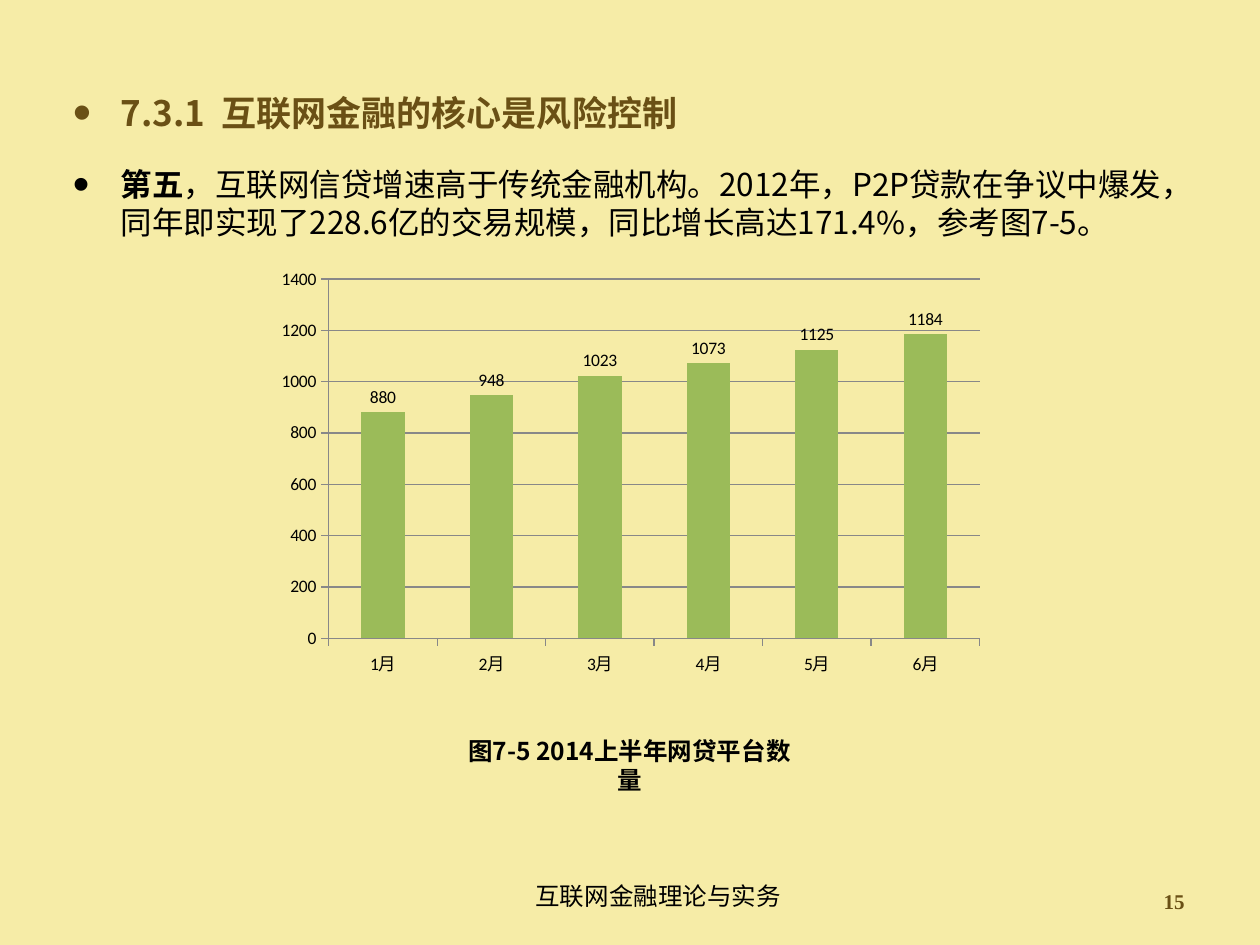
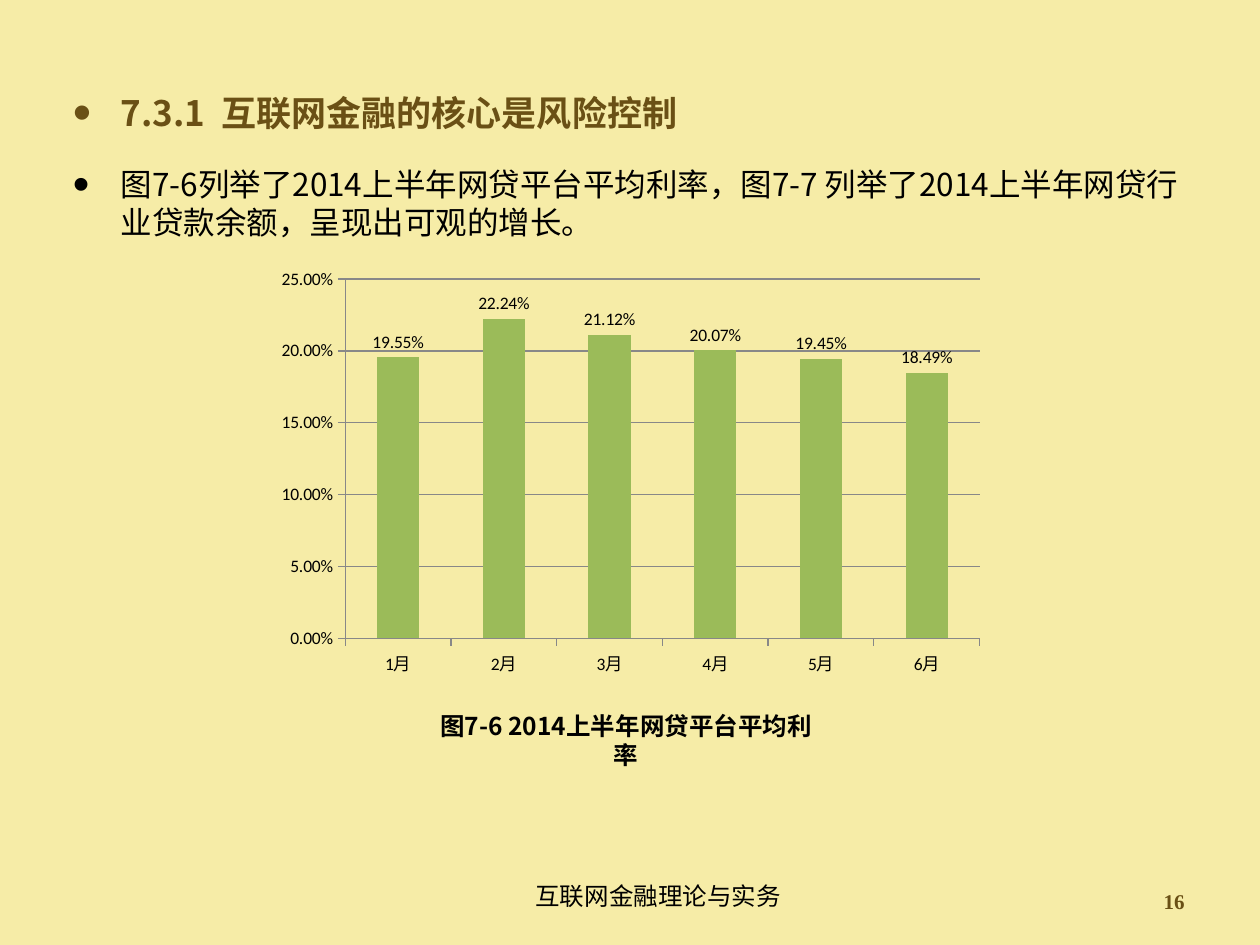
from lxml.etree import SubElement
from pptx import Presentation
from pptx.chart.data import CategoryChartData
from pptx.dml.color import RGBColor
from pptx.enum.chart import XL_CHART_TYPE, XL_LABEL_POSITION, XL_TICK_MARK
from pptx.enum.text import MSO_ANCHOR, PP_ALIGN
from pptx.oxml.ns import qn
from pptx.util import Inches, Pt

CREAM = RGBColor(0xF6, 0xEC, 0xA7)
BROWN = RGBColor(0x6A, 0x50, 0x15)
BLACK = RGBColor(0x00, 0x00, 0x00)
GREEN = RGBColor(0x9B, 0xBB, 0x59)
GREY = RGBColor(0x88, 0x88, 0x88)

CJK = "Noto Sans CJK SC"
HEADING = "7.3.1  互联网金融的核心是风险控制"
FOOTER = "互联网金融理论与实务"
MONTHS = [f"{month}月" for month in range(1, 7)]

HEADING_STYLE = {"size": Pt(20), "bold": True}
BODY_STYLE = {"size": Pt(18), "bold": False}
STRONG_STYLE = {"size": Pt(18), "bold": True}
FOOTER_STYLE = {"size": Pt(14), "bold": False}
CAPTION_STYLE = {"size": Pt(14), "bold": True}
NUMBER_STYLE = {"size": Pt(12), "bold": True}
CHART_STYLE = {"size": Pt(10), "bold": False, "name": "Calibri"}

CHART_BOX = (2.12, 2.07, 5.77, 3.36)
FOOTER_BOX = (3.06, 6.94, 4.33, 0.34)
NUMBER_BOX = (7.17, 6.95, 2.33, 0.4)

SLIDES = [
    {
        "number": 15,
        "body": [("第五", STRONG_STYLE),
                 ("，互联网信贷增速高于传统金融机构。2012年，P2P贷款在争议中爆发，"
                  "同年即实现了228.6亿的交易规模，同比增长高达171.4%，参考图7-5。",
                  BODY_STYLE)],
        "body_box": (0.48, 0.68, 9, 1.57),
        "values": [880, 948, 1023, 1073, 1125, 1184],
        "format": "General",
        "caption": "图7-5 2014上半年网贷平台数量",
        "caption_box": (3.52, 5.79, 2.95, 0.34),
    },
    {
        "number": 16,
        "body": [("图7-6列举了2014上半年网贷平台平均利率，图7-7 列举了2014上半年"
                  "网贷行业贷款余额，呈现出可观的增长。", BODY_STYLE)],
        "body_box": (0.48, 0.68, 9, 6.27),
        "values": [0.1955, 0.2224, 0.2112, 0.2007, 0.1945, 0.1849],
        "format": "0.00%",
        "caption": "图7-6 2014上半年网贷平台平均利率",
        "caption_box": (3.3, 5.59, 3.34, 0.34),
    },
]


def set_font(font, style, color=BLACK):
    for name, value in style.items():
        setattr(font, name, value)
    font.color.rgb = color


def add_run(p, text, style, color=BLACK, face=CJK):
    r = p.add_run()
    r.text = text
    set_font(r.font, {**style, "name": face}, color)
    SubElement(r.font._element, qn("a:ea"), typeface=face)


def add_frame(s, box):
    tf = s.shapes.add_textbox(*map(Inches, box)).text_frame
    tf.word_wrap = True
    return tf


def add_line(s, box, text, style, align=PP_ALIGN.CENTER, **look):
    """Add a box holding one aligned paragraph."""
    tf = add_frame(s, box)
    p = tf.paragraphs[0]
    p.alignment = align
    add_run(p, text, style, **look)
    return tf


def make_bullet(p):
    p.space_before = Pt(18)
    pPr = p._p.get_or_add_pPr()
    pPr.set("marL", str(Inches(0.38)))
    pPr.set("indent", str(Inches(-0.38)))
    SubElement(pPr, qn("a:buSzPct"), val="150000")
    SubElement(pPr, qn("a:buFont"), typeface="Arial")
    SubElement(pPr, qn("a:buChar"), char="•")


def add_body(s, box, body):
    tf = add_frame(s, box)
    heading, text = tf.paragraphs[0], tf.add_paragraph()
    make_bullet(heading)
    add_run(heading, HEADING, HEADING_STYLE, BROWN)
    make_bullet(text)
    for words, style in body:
        add_run(text, words, style)


def style_line(line):
    line.color.rgb = GREY
    line.width = Pt(0.75)


def add_column_chart(s, box, values, number_format):
    data = CategoryChartData(number_format=number_format)
    data.categories = MONTHS
    data.add_series("Series 1", values)
    chart = s.shapes.add_chart(
        XL_CHART_TYPE.COLUMN_CLUSTERED, *map(Inches, box), data).chart
    chart.has_legend = chart.has_title = False
    set_font(chart.font, CHART_STYLE)

    for axis in (chart.category_axis, chart.value_axis):
        axis.major_tick_mark = XL_TICK_MARK.OUTSIDE
        set_font(axis.tick_labels.font, CHART_STYLE)
        style_line(axis.format.line)
    style_line(chart.value_axis.major_gridlines.format.line)

    plot = chart.plots[0]
    plot.gap_width = 150
    plot.vary_by_categories = False
    fill = plot.series[0].format.fill
    fill.solid()
    fill.fore_color.rgb = GREEN
    labels = plot.series[0].data_labels
    labels.show_value = True
    labels.position = XL_LABEL_POSITION.OUTSIDE_END
    set_font(labels.font, CHART_STYLE)
    for numbers in (chart.value_axis.tick_labels, labels):
        numbers.number_format = number_format
        numbers.number_format_is_linked = False


def add_footer(s, number):
    add_line(s, FOOTER_BOX, FOOTER, FOOTER_STYLE)
    tf = add_line(s, NUMBER_BOX, str(number), NUMBER_STYLE, PP_ALIGN.RIGHT,
                  color=BROWN, face="Times New Roman")
    tf.vertical_anchor = MSO_ANCHOR.MIDDLE


def add_chart_slide(prs, content):
    s = prs.slides.add_slide(prs.slide_layouts[6])
    s.background.fill.solid()
    s.background.fill.fore_color.rgb = CREAM
    add_footer(s, content["number"])
    add_body(s, content["body_box"], content["body"])
    add_column_chart(s, CHART_BOX, content["values"], content["format"])
    add_line(s, content["caption_box"], content["caption"], CAPTION_STYLE)


def main():
    prs = Presentation()
    prs.slide_width, prs.slide_height = Inches(10), Inches(7.5)
    for content in SLIDES:
        add_chart_slide(prs, content)
    prs.save("out.pptx")


if __name__ == "__main__":
    main()
